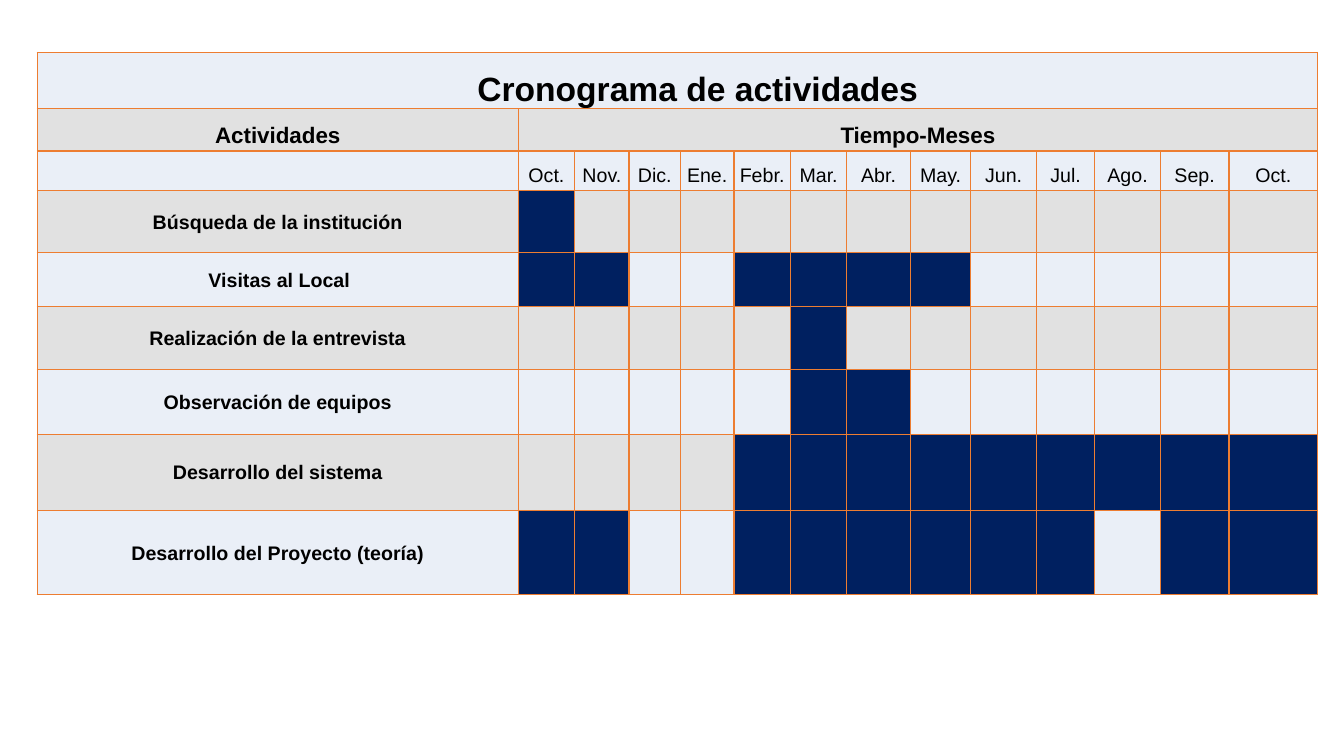
"""Build a slide with a monthly activity schedule."""
from dataclasses import dataclass

from lxml.etree import SubElement
from pptx import Presentation
from pptx.dml.color import RGBColor
from pptx.enum.text import MSO_ANCHOR, PP_ALIGN
from pptx.oxml.ns import qn
from pptx.table import Table, _Cell
from pptx.util import Emu, Pt

COLORS = {
    "light": "EAEFF7",
    "gray": "E1E1E1",
    "busy": "002060",
    "line": "ED7D31",
    "text": "000000",
}
MONTHS = "Oct. Nov. Dic. Ene. Febr. Mar. Abr. May. Jun. Jul. Ago. Sep. Oct.".split()
WIDTHS = [477, 56, 54, 51, 53, 56, 56, 63, 60, 65, 58, 65, 68, 88]
HEADS = [51, 42, 39]


@dataclass
class Task:
    name: str
    height: int
    marks: str
    left: int = 0
    indent: int = 0


TASKS = [
    Task("Búsqueda de la institución", 62, "X............", 3, -3),
    Task("Visitas al Local", 53, "XX..XXXX.....", 3),
    Task("Realización de la entrevista", 63, ".....X.......", 0, -7),
    Task("Observación de equipos", 64, ".....XX......", 3, -3),
    Task("Desarrollo del sistema", 76, "....XXXXXXXXX"),
    Task("Desarrollo del Proyecto (teoría)", 83, "XX..XXXXXX.XX"),
]


def px(count: int) -> Emu:
    return Emu(count * 9144)


def paint(cell: _Cell, color: str) -> None:
    props = cell._tc.get_or_add_tcPr()
    for side in ("lnL", "lnR", "lnT", "lnB"):
        line = SubElement(props, qn(f"a:{side}"), w=str(Pt(1)))
        fill = SubElement(line, qn("a:solidFill"))
        SubElement(fill, qn("a:srgbClr"), val=COLORS["line"])
    cell.fill.solid()
    cell.fill.fore_color.rgb = RGBColor.from_string(COLORS[color])
    cell.margin_left = cell.margin_right = px(5)
    cell.margin_top = cell.margin_bottom = 0
    cell.vertical_anchor = MSO_ANCHOR.MIDDLE


def write(cell: _Cell, text: str, *, size: int = 14, bold: bool = True,
          lines: float = 1.5, left: int = 0, indent: int = 0) -> None:
    para = cell.text_frame.paragraphs[0]
    para.alignment = PP_ALIGN.CENTER
    para.line_spacing = lines
    para.space_after = Pt(8)
    props = para._p.get_or_add_pPr()
    props.set("marL", str(px(left)))
    props.set("indent", str(px(indent)))
    run = para.add_run()
    run.text = text
    run.font.name = "Arial"
    run.font.size = Pt(size)
    run.font.bold = bold
    run.font.color.rgb = RGBColor.from_string(COLORS["text"])


def fill_heads(table: Table) -> None:
    last = len(MONTHS)
    table.cell(0, 0).merge(table.cell(0, last))
    table.cell(1, 1).merge(table.cell(1, last))
    write(table.cell(0, 0), "Cronograma de actividades", size=24, left=40)
    write(table.cell(1, 0), "Actividades", size=16)
    write(table.cell(1, 1), "Tiempo-Meses", size=16)
    for col, month in enumerate(MONTHS, 1):
        write(table.cell(2, col), month, bold=False)


def main() -> None:
    deck = Presentation()
    deck.slide_width, deck.slide_height = px(1333), px(750)
    slide = deck.slides.add_slide(deck.slide_layouts[6])
    highs = HEADS + [task.height for task in TASKS]
    frame = slide.shapes.add_table(len(highs), len(WIDTHS), px(37), px(52),
                                   px(sum(WIDTHS)), px(sum(highs)))
    table = frame.table
    table.first_row = table.horz_banding = False
    for col, width in zip(table.columns, WIDTHS):
        col.width = px(width)
    marks = [""] * len(HEADS) + [task.marks for task in TASKS]
    for row, high in enumerate(highs):
        table.rows[row].height = px(high)
        band = "gray" if row % 2 else "light"
        for col in range(len(WIDTHS)):
            busy = col > 0 and marks[row][col - 1:col] == "X"
            paint(table.cell(row, col), "busy" if busy else band)
    fill_heads(table)
    for row, task in enumerate(TASKS, len(HEADS)):
        write(table.cell(row, 0), task.name, lines=1.07,
              left=task.left, indent=task.indent)
    deck.save("out.pptx")


if __name__ == "__main__":
    main()
